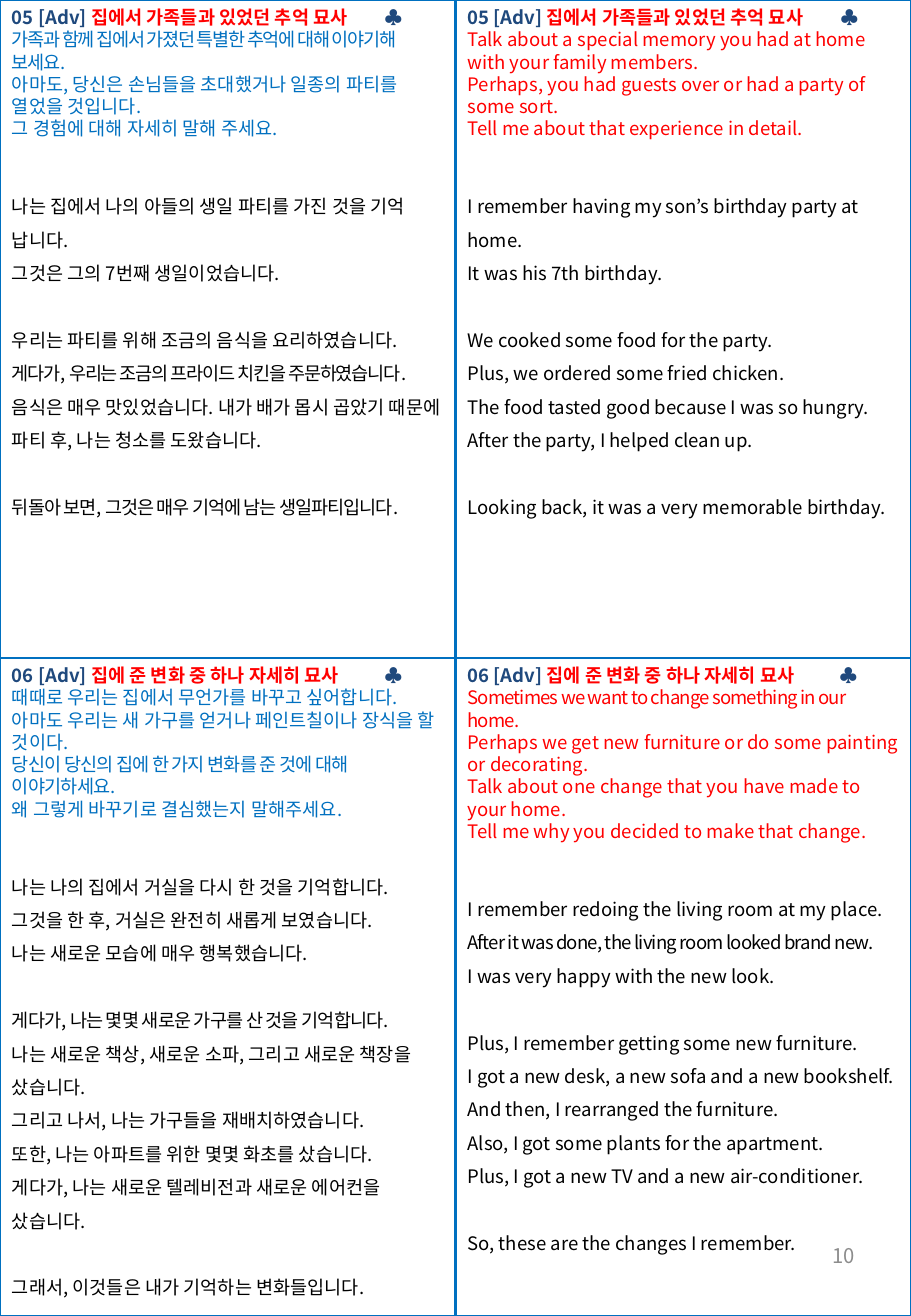
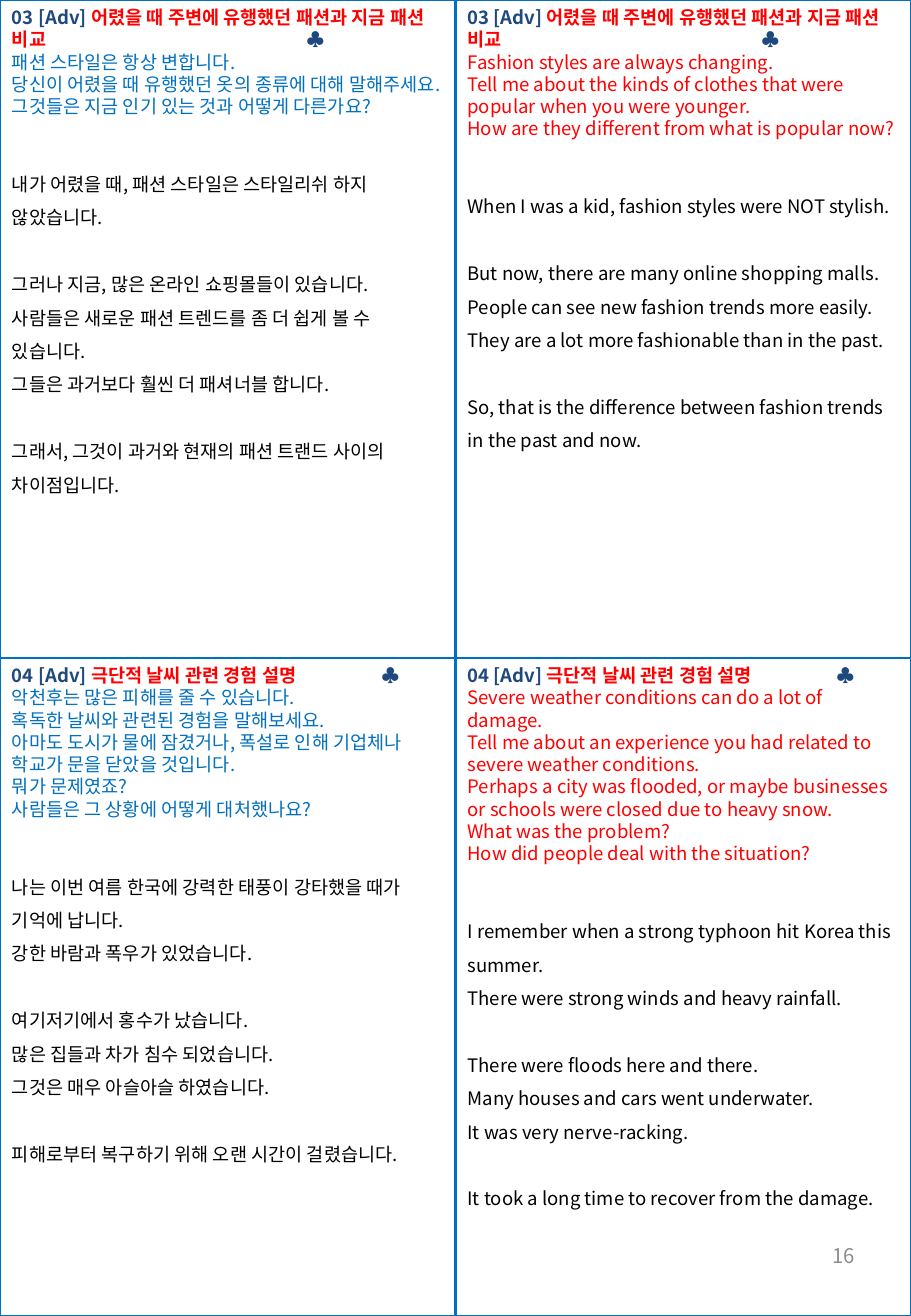
from dataclasses import dataclass

from lxml import etree
from pptx import Presentation
from pptx.dml.color import RGBColor
from pptx.enum.shapes import MSO_CONNECTOR, MSO_SHAPE
from pptx.enum.text import MSO_ANCHOR, MSO_AUTO_SIZE, PP_ALIGN
from pptx.oxml.ns import qn
from pptx.util import Cm, Pt

STRAIGHT = MSO_CONNECTOR.STRAIGHT
RECTANGLE = MSO_SHAPE.RECTANGLE
MIDDLE = MSO_ANCHOR.MIDDLE
FIT_SHAPE = MSO_AUTO_SIZE.SHAPE_TO_FIT_TEXT
RIGHT = PP_ALIGN.RIGHT
TOP_SIDE, LEFT_SIDE, BOTTOM_SIDE, RIGHT_SIDE = range(4)

BLUE = RGBColor(0x00, 0x70, 0xC0)
NAVY = RGBColor(0x1F, 0x49, 0x7D)
RED = RGBColor(0xFF, 0x00, 0x00)
BLACK = RGBColor(0x00, 0x00, 0x00)
GREY = RGBColor(0x8C, 0x8C, 0x8C)

FONT = "Noto Sans CJK KR"
TEXT_SIZE = 11
PROMPT_PITCH = 13.2
ANSWER_PITCH = 1.5 * PROMPT_PITCH
PAGE_WIDTH, PAGE_HEIGHT = 19.05, 27.51
PANEL_WIDTH, PANEL_HEIGHT = PAGE_WIDTH / 2, PAGE_HEIGHT / 2


@dataclass(frozen=True)
class Line:
    text: str
    tracking: float = 0


@dataclass(frozen=True)
class Panel:
    height: float
    prompt_color: RGBColor
    prompt: list[list[Line]]
    stanzas: list[list[Line]]


@dataclass(frozen=True)
class Topic:
    number: str
    title: str
    club_tab: float
    panels: tuple[Panel, Panel]


@dataclass(frozen=True)
class Page:
    number: int
    topics: tuple[Topic, Topic]


def lines(*items: str | Line) -> list[Line]:
    return [Line(item) if isinstance(item, str) else item for item in items]


def korean(height: float, prompt: list[Line], *stanzas: list[Line]) -> Panel:
    return Panel(height, BLUE, [prompt], list(stanzas))


def english(height: float, prompt: list[Line], *stanzas: list[Line]) -> Panel:
    return Panel(height, RED, [[line] for line in prompt], list(stanzas))


PAGES = [
    Page(10, (
        Topic("05", "집에서 가족들과 있었던 추억 묘사", 7.8, (
            korean(
                11.68,
                lines(
                    Line("가족과 함께 집에서 가졌던 특별한 추억에 대해 이야기해 보세요.", -0.8),
                    "아마도, 당신은 손님들을 초대했거나 일종의 파티를 열었을 것입니다.",
                    "그 경험에 대해 자세히 말해 주세요.",
                ),
                lines(
                    "나는 집에서 나의 아들의 생일 파티를 가진 것을 기억 납니다.",
                    "그것은 그의 7번째 생일이었습니다.",
                ),
                lines(
                    "우리는 파티를 위해 조금의 음식을 요리하였습니다.",
                    Line("게다가, 우리는 조금의 프라이드 치킨을 주문하였습니다.", -0.7),
                    "음식은 매우 맛있었습니다. 내가 배가 몹시 곱았기 때문에",
                    "파티 후, 나는 청소를 도왔습니다.",
                ),
                lines(Line("뒤돌아 보면, 그것은 매우 기억에 남는 생일파티입니다.", -0.6)),
            ),
            english(
                11.4,
                lines(
                    "Talk about a special memory you had at home with your family members.",
                    "Perhaps, you had guests over or had a party of some sort.",
                    "Tell me about that experience in detail.",
                ),
                lines(
                    "I remember having my son’s birthday party at home.",
                    "It was his 7th birthday.",
                ),
                lines(
                    "We cooked some food for the party.",
                    "Plus, we ordered some fried chicken.",
                    "The food tasted good because I was so hungry.",
                    "After the party, I helped clean up.",
                ),
                lines("Looking back, it was a very memorable birthday."),
            ),
        )),
        Topic("06", "집에 준 변화 중 하나 자세히 묘사", 7.78, (
            korean(
                13.56,
                lines(
                    "때때로 우리는 집에서 무언가를 바꾸고 싶어합니다.",
                    "아마도 우리는 새 가구를 얻거나 페인트칠이나 장식을 할 것이다.",
                    Line("당신이 당신의 집에 한 가지 변화를 준 것에 대해 이야기하세요.", -0.5),
                    "왜 그렇게 바꾸기로 결심했는지 말해주세요.",
                ),
                lines(
                    "나는 나의 집에서 거실을 다시 한 것을 기억합니다.",
                    "그것을 한 후, 거실은 완전히 새롭게 보였습니다.",
                    "나는 새로운 모습에 매우 행복했습니다.",
                ),
                lines(
                    Line("게다가, 나는 몇몇 새로운 가구를 산 것을 기억합니다.", -0.5),
                    "나는 새로운 책상, 새로운 소파, 그리고 새로운 책장을 샀습니다.",
                    "그리고 나서, 나는 가구들을 재배치하였습니다.",
                    "또한, 나는 아파트를 위한 몇몇 화초를 샀습니다.",
                    "게다가, 나는 새로운 텔레비전과 새로운 에어컨을 샀습니다.",
                ),
                lines("그래서, 이것들은 내가 기억하는 변화들입니다."),
            ),
            english(
                12.17,
                lines(
                    Line("Sometimes we want to change something in our home.", -0.5),
                    "Perhaps we get new furniture or do some painting or decorating.",
                    "Talk about one change that you have made to your home.",
                    "Tell me why you decided to make that change.",
                ),
                lines(
                    "I remember redoing the living room at my place.",
                    Line("After it was done, the living room looked brand new.", -0.5),
                    "I was very happy with the new look.",
                ),
                lines(
                    "Plus, I remember getting some new furniture.",
                    "I got a new desk, a new sofa and a new bookshelf.",
                    "And then, I rearranged the furniture.",
                    "Also, I got some plants for the apartment.",
                    "Plus, I got a new TV and a new air-conditioner.",
                ),
                lines("So, these are the changes I remember."),
            ),
        )),
    )),
    Page(16, (
        Topic("03", "어렸을 때 주변에 유행했던 패션과 지금 패션 비교", 6.15, (
            korean(
                10.97,
                lines(
                    "패션 스타일은 항상 변합니다.",
                    "당신이 어렸을 때 유행했던 옷의 종류에 대해 말해주세요.",
                    "그것들은 지금 인기 있는 것과 어떻게 다른가요?",
                ),
                lines("내가 어렸을 때, 패션 스타일은 스타일리쉬 하지 않았습니다."),
                lines(
                    "그러나 지금, 많은 온라인 쇼핑몰들이 있습니다.",
                    "사람들은 새로운 패션 트렌드를 좀 더 쉽게 볼 수 있습니다.",
                    "그들은 과거보다 훨씬 더 패셔너블 합니다.",
                ),
                lines("그래서, 그것이 과거와 현재의 패션 트랜드 사이의 차이점입니다."),
            ),
            english(
                9.58,
                lines(
                    "Fashion styles are always changing.",
                    "Tell me about the kinds of clothes that were popular when you were younger.",
                    "How are they different from what is popular now?",
                ),
                lines("When I was a kid, fashion styles were NOT stylish."),
                lines(
                    "But now, there are many online shopping malls.",
                    "People can see new fashion trends more easily.",
                    "They are a lot more fashionable than in the past.",
                ),
                lines("So, that is the difference between fashion trends in the past and now."),
            ),
        )),
        Topic("04", "극단적 날씨 관련 경험 설명", 7.72, (
            korean(
                11.18,
                lines(
                    "악천후는 많은 피해를 줄 수 있습니다.",
                    "혹독한 날씨와 관련된 경험을 말해보세요.",
                    "아마도 도시가 물에 잠겼거나, 폭설로 인해 기업체나 학교가 문을 닫았을 것입니다.",
                    "뭐가 문제였죠?",
                    "사람들은 그 상황에 어떻게 대처했나요?",
                ),
                lines(
                    "나는 이번 여름 한국에 강력한 태풍이 강타했을 때가 기억에 납니다.",
                    "강한 바람과 폭우가 있었습니다.",
                ),
                lines(
                    "여기저기에서 홍수가 났습니다.",
                    "많은 집들과 차가 침수 되었습니다.",
                    "그것은 매우 아슬아슬 하였습니다.",
                ),
                lines("피해로부터 복구하기 위해 오랜 시간이 걸렸습니다."),
            ),
            english(
                11.23,
                lines(
                    "Severe weather conditions can do a lot of damage.",
                    "Tell me about an experience you had related to severe weather conditions.",
                    "Perhaps a city was flooded, or maybe businesses or schools were closed due to heavy snow.",
                    "What was the problem?",
                    "How did people deal with the situation?",
                ),
                lines(
                    "I remember when a strong typhoon hit Korea this summer.",
                    "There were strong winds and heavy rainfall.",
                ),
                lines(
                    "There were floods here and there.",
                    "Many houses and cars went underwater.",
                    "It was very nerve-racking.",
                ),
                lines("It took a long time to recover from the damage."),
            ),
        )),
    )),
]


def add_run(paragraph, text: str, color: RGBColor, size: float = TEXT_SIZE,
            bold: bool = False, tracking: float = 0) -> None:
    run = paragraph.add_run()
    run.text = text
    run.font.name, run.font.size, run.font.bold = FONT, Pt(size), bold
    run.font.color.rgb = color
    properties = run.font._element
    etree.SubElement(properties, qn("a:ea"), typeface=FONT)
    if tracking:
        properties.set("spc", str(round(tracking * 100)))


def add_break(paragraph) -> None:
    paragraph.add_line_break()
    etree.SubElement(paragraph._p[-1], qn("a:rPr"), sz=str(TEXT_SIZE * 100))


def add_paragraph(frame, content: list[Line], color: RGBColor, pitch: float, gap: float = 0) -> None:
    paragraph = frame.add_paragraph()
    paragraph.line_spacing = Pt(pitch)
    paragraph.space_before = Pt(gap)
    for index, line in enumerate(content):
        if index:
            add_break(paragraph)
        add_run(paragraph, line.text, color, tracking=line.tracking)


def add_heading(paragraph, topic: Topic) -> None:
    paragraph.line_spacing = Pt(PROMPT_PITCH)
    tabs = etree.SubElement(paragraph._p.get_or_add_pPr(), qn("a:tabLst"))
    etree.SubElement(tabs, qn("a:tab"), pos=str(Cm(topic.club_tab)), algn="l")
    add_run(paragraph, f"{topic.number} [Adv] ", NAVY, bold=True)
    add_run(paragraph, f"{topic.title}\t", RED, bold=True)
    add_run(paragraph, "♣", NAVY, bold=True)


def add_panel(slide, topic: Topic, panel: Panel, left: float, top: float) -> None:
    box = slide.shapes.add_textbox(Cm(left), Cm(top), Cm(PANEL_WIDTH), Cm(panel.height))
    frame = box.text_frame
    frame.word_wrap = True
    frame.auto_size = FIT_SHAPE
    add_heading(frame.paragraphs[0], topic)
    for content in panel.prompt:
        add_paragraph(frame, content, panel.prompt_color, PROMPT_PITCH)
    for stanza_index, stanza in enumerate(panel.stanzas):
        stanza_gap = ANSWER_PITCH if stanza_index else 2 * PROMPT_PITCH
        for line_index, line in enumerate(stanza):
            add_paragraph(frame, [line], BLACK, ANSWER_PITCH, 0 if line_index else stanza_gap)


def add_grid(slide) -> None:
    border = slide.shapes.add_shape(RECTANGLE, 0, 0, Cm(PAGE_WIDTH), Cm(PAGE_HEIGHT))
    border.shadow.inherit = False
    border.fill.background()
    border.line.color.rgb, border.line.width = BLUE, Pt(1.5)
    for start, end in ((LEFT_SIDE, RIGHT_SIDE), (TOP_SIDE, BOTTOM_SIDE)):
        divider = slide.shapes.add_connector(STRAIGHT, 0, 0, 0, 0)
        divider.begin_connect(border, start)
        divider.end_connect(border, end)
        divider.line.color.rgb, divider.line.width = BLUE, Pt(1.5)
        etree.SubElement(divider._element.spPr, qn("a:effectLst"))


def add_page_number(slide, number: int) -> None:
    frame = slide.shapes.add_textbox(Cm(13.67), Cm(25.5), Cm(4.45), Cm(1.47)).text_frame
    frame.word_wrap = True
    frame.vertical_anchor = MIDDLE
    frame.paragraphs[0].alignment = RIGHT
    add_run(frame.paragraphs[0], str(number), GREY, size=12)


def main() -> None:
    deck = Presentation()
    deck.slide_width, deck.slide_height = Cm(PAGE_WIDTH), Cm(PAGE_HEIGHT)
    for page in PAGES:
        slide = deck.slides.add_slide(deck.slide_layouts[6])
        add_grid(slide)
        add_page_number(slide, page.number)
        for row, topic in enumerate(page.topics):
            for column, panel in enumerate(topic.panels):
                add_panel(slide, topic, panel, column * PANEL_WIDTH, row * PANEL_HEIGHT)
    deck.save("out.pptx")


if __name__ == "__main__":
    main()
